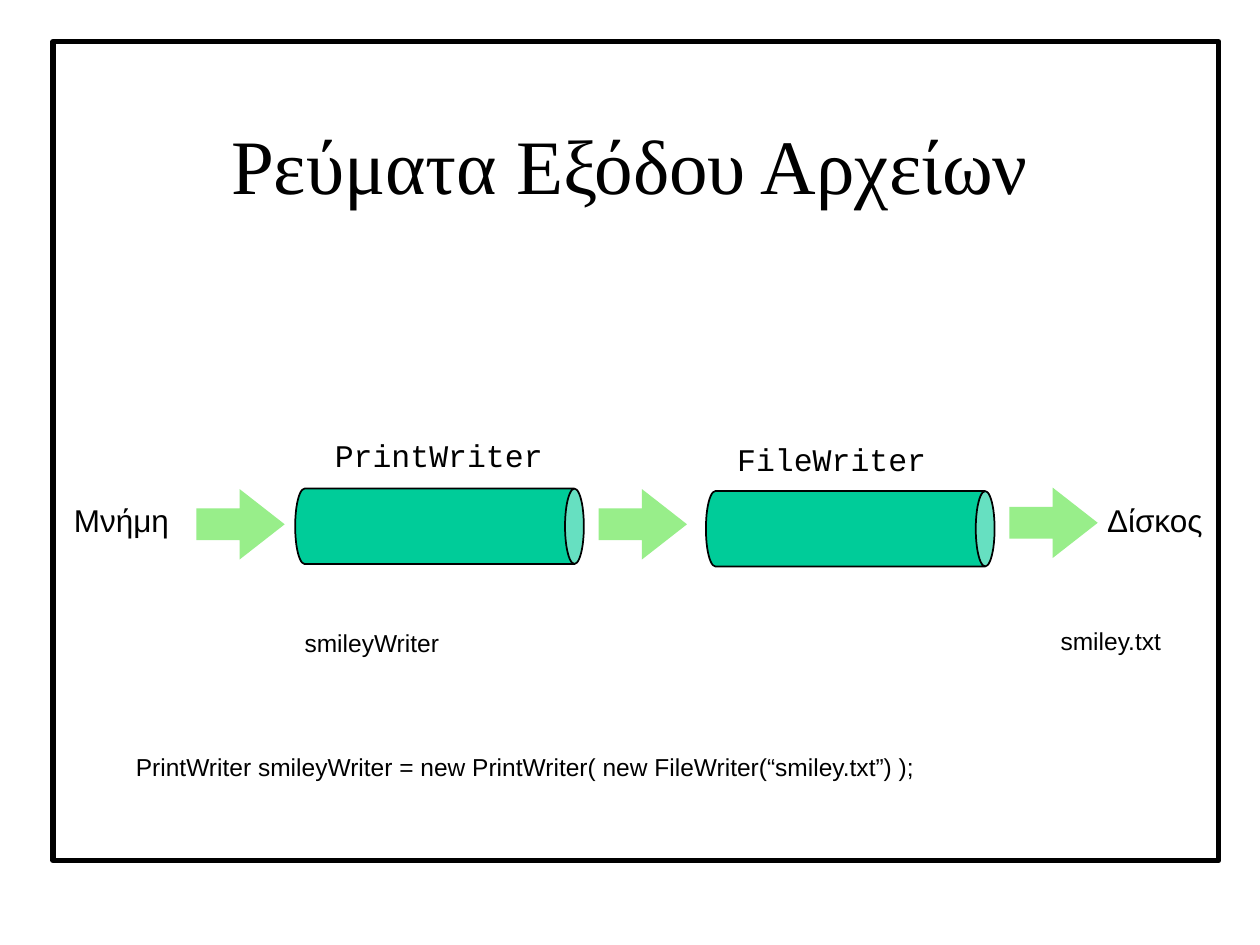
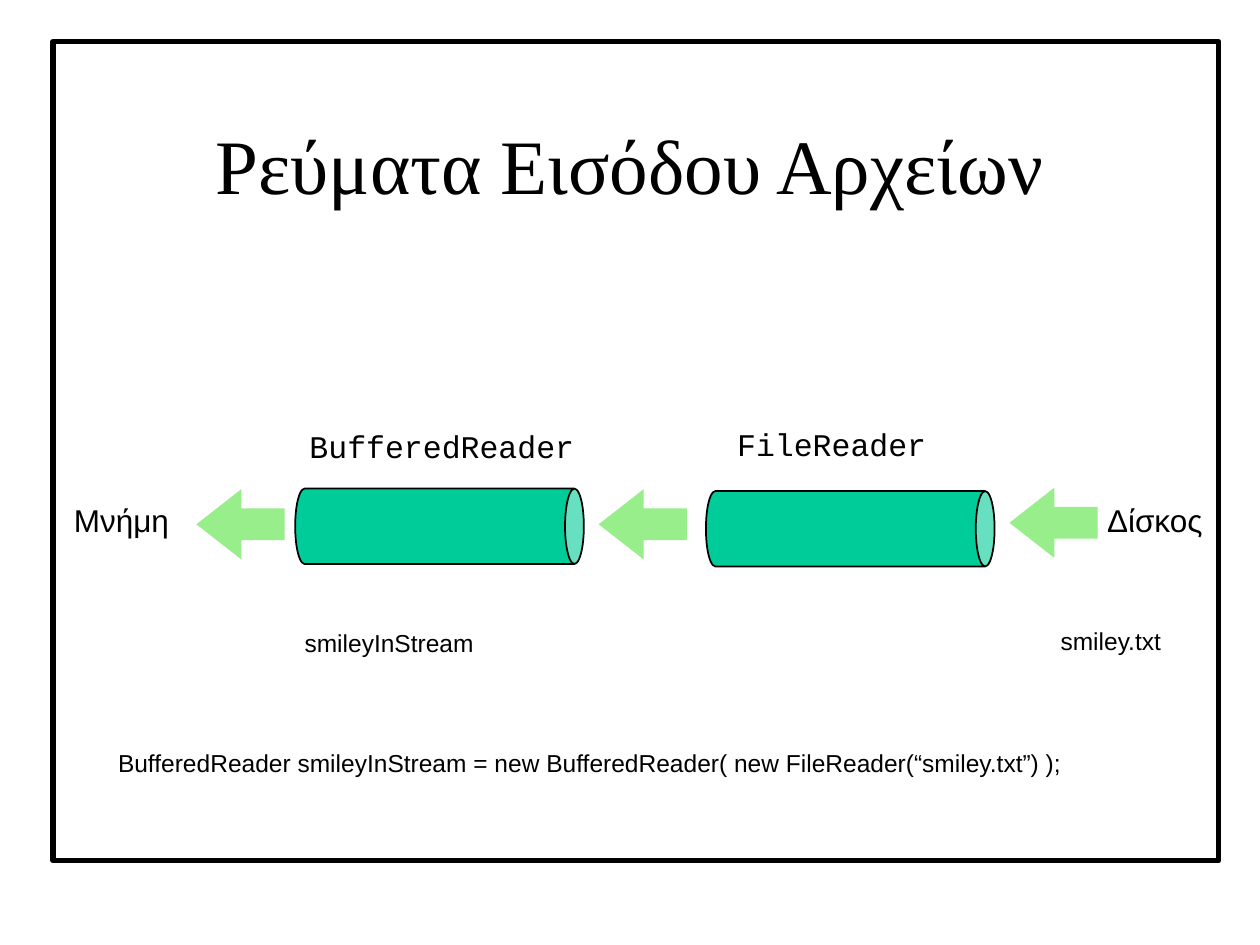
"""Build two slides on file output and input streams."""
from pptx import Presentation
from pptx.dml.color import RGBColor
from pptx.enum import shapes, text
from pptx.util import Cm, Pt

COLORS = {"ink": "000000", "paper": "FFFFFF", "pipe": "00CC99", "arrow": "98EE8A"}
TITLE_FONT, BODY_FONT, CODE_FONT = "Times New Roman", "Arial", "Courier New"
LEFT, CENTER = text.PP_ALIGN.LEFT, text.PP_ALIGN.CENTER

FRAME = (1.07, 0.84, 23.5, 16.51)
TITLE = (1.9, 1.7, 21.6, 3.18)
PIPES = [(8.1, 7.7), (16.38, 7.75)]
PIPE_SIZE = (1.52, 5.82)
ARROWS = [(3.96, 9.86), (12.07, 9.86), (20.35, 9.83)]
ARROW_SIZE = (1.78, 1.42)
ENDS = [("Δίσκος", 21.92), ("Μνήμη", 1.09)]
FILE_NAME = ("smiley.txt", 21.13, 12.6, 4.2)

STYLES = {
    "class": dict(font=CODE_FONT, size=18, before=11.2, height=0.86),
    "end": dict(font=BODY_FONT, size=18, before=4.5, height=1.09,
                align=CENTER, anchor=text.MSO_ANCHOR.MIDDLE),
    "code": dict(font=BODY_FONT, size=14, before=3.5, height=0.71),
}

SLIDES = [
    {
        "title": "Ρεύματα Εξόδου Αρχείων",
        "arrow": shapes.MSO_SHAPE.RIGHT_ARROW,
        "classes": [("PrintWriter", 6.5, 8.81, 5.79), ("FileWriter", 14.61, 8.89, 7.26)],
        "variable": ("smileyWriter", 5.89, 12.65, 5.13),
        "code": ("PrintWriter smileyWriter = new PrintWriter( new FileWriter(“smiley.txt”) );",
                 2.49, 15.14, 18.19),
    },
    {
        "title": "Ρεύματα Εισόδου Αρχείων",
        "arrow": shapes.MSO_SHAPE.LEFT_ARROW,
        "classes": [("BufferedReader", 5.99, 8.64, 6.3), ("FileReader", 14.61, 8.59, 7.26)],
        "variable": ("smileyInStream", 5.89, 12.65, 5.82),
        "code": ("BufferedReader smileyInStream = new BufferedReader( new FileReader(“smiley.txt”) );",
                 2.13, 15.06, 21.49),
    },
]


def color(name):
    return RGBColor.from_string(COLORS[name])


def set_font(p, name, size):
    p.font.name, p.font.size = name, Pt(size)
    p.font.color.rgb = color("ink")


def add_shape(s, kind, box, fill, line=0):
    sp = s.shapes.add_shape(kind, *map(Cm, box))
    sp.shadow.inherit = False
    sp.fill.solid()
    sp.fill.fore_color.rgb = color(fill)
    if line:
        sp.line.color.rgb = color("ink")
        sp.line.width = Pt(line)
    else:
        sp.line.fill.background()
    return sp


def add_label(s, words, left, top, width, style):
    look = STYLES[style]
    sp = s.shapes.add_textbox(*map(Cm, (left, top, width, look["height"])))
    tf = sp.text_frame
    tf.word_wrap = True
    tf.vertical_anchor = look.get("anchor", text.MSO_ANCHOR.TOP)
    if style != "end":
        tf.auto_size = text.MSO_AUTO_SIZE.SHAPE_TO_FIT_TEXT
    p = tf.paragraphs[0]
    p.text = words
    p.alignment = look.get("align", LEFT)
    p.line_spacing = 0.8
    p.space_before = Pt(look["before"])
    set_font(p, look["font"], look["size"])


def set_title(s, words):
    sp = s.shapes.title
    sp.left, sp.top, sp.width, sp.height = map(Cm, TITLE)
    tf = sp.text_frame
    tf.text = words
    tf.auto_size = text.MSO_AUTO_SIZE.NONE
    tf.vertical_anchor = text.MSO_ANCHOR.MIDDLE
    p = tf.paragraphs[0]
    p.alignment = CENTER
    set_font(p, TITLE_FONT, 44)


def add_stream_slide(prs, content):
    s = prs.slides.add_slide(prs.slide_layouts[5])
    frame = add_shape(s, shapes.MSO_SHAPE.RECTANGLE, FRAME, "paper", 3)
    s.shapes.element.insert(2, frame.element)
    set_title(s, content["title"])
    for place in PIPES:
        sp = add_shape(s, shapes.MSO_SHAPE.CAN, place + PIPE_SIZE, "pipe", 1)
        sp.rotation = 90
        sp.adjustments[0] = 0.25
    for place in ARROWS:
        sp = add_shape(s, content["arrow"], place + ARROW_SIZE, "arrow")
        sp.adjustments[0], sp.adjustments[1] = 0.45, 0.64
    for label in content["classes"]:
        add_label(s, *label, "class")
    for words, left in ENDS:
        add_label(s, words, left, 10.01, 2.72, "end")
    for label in (content["variable"], FILE_NAME, content["code"]):
        add_label(s, *label, "code")


def main():
    prs = Presentation()
    prs.slide_width, prs.slide_height = Cm(25.4), Cm(19.05)
    for content in SLIDES:
        add_stream_slide(prs, content)
    prs.save("out.pptx")


if __name__ == "__main__":
    main()
